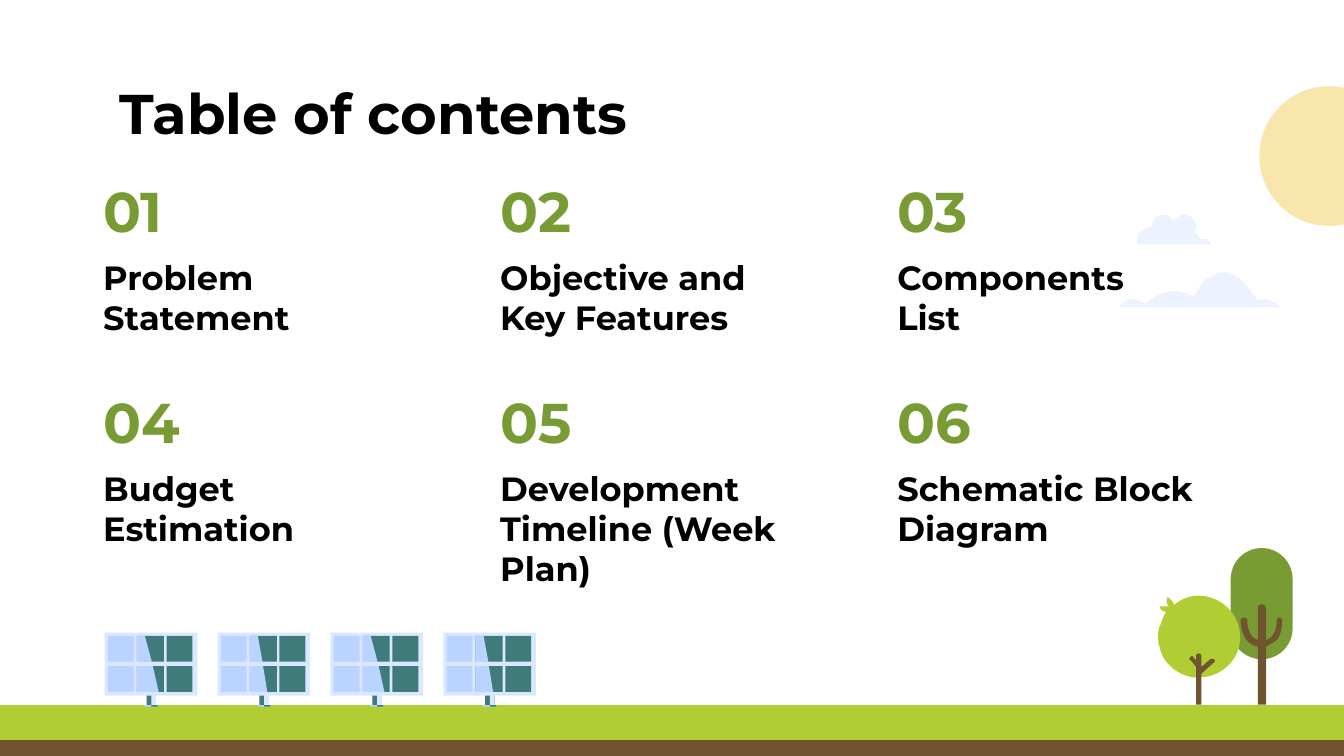
import pptx
import pptx.util
import pptx.dml.color
import pptx.enum.shapes
import pptx.enum.text
import pptx.oxml.ns
from lxml import etree

Cm = pptx.util.Cm
SHAPE = pptx.enum.shapes.MSO_SHAPE
ANCHOR = pptx.enum.text.MSO_ANCHOR
FONT = "Montserrat"
COLORS = {
    "text": "000000", "leaf": "799B34", "grass": "B0CE34", "bark": "70532F",
    "sun": "F9E6AC", "frame": "D9E8FF", "glare": "B9D5FF", "cell": "3E7B7A",
}
ITEMS = ["Problem Statement", "Objective and Key Features", "Components\nList",
         "Budget Estimation", "Development Timeline (Week Plan)",
         "Schematic Block Diagram"]

TALL_TRUNK = [
    (16, 0), (17, 0, 19, 1, 19, 3), (19, 27), (23, 26, 27, 21, 27, 12),
    (27, 11, 28, 10, 29, 10), (30, 10, 31, 11, 31, 12),
    (31, 18, 30, 23, 27, 27), (24, 29, 21, 31, 19, 32), (19, 76), (13, 76),
    (13, 32), (6, 31, 0, 24, 0, 12), (0, 11, 1, 10, 2, 10),
    (4, 10, 5, 11, 5, 12), (5, 21, 9, 26, 13, 27), (13, 3),
    (13, 1, 14, 0, 16, 0)]
ROUND_CROWN = [
    (30, 0), (47, 0, 61, 14, 61, 31), (61, 48, 47, 61, 30, 61), (26, 61),
    (14, 59, 3, 50, 1, 38), (0, 36, 0, 33, 0, 31), (0, 27), (1, 23), (2, 21),
    (3, 18, 4, 15, 6, 12), (2, 12, 1, 8, 1, 8), (8, 8), (5, 5, 7, 1, 7, 1),
    (10, 3, 11, 5, 12, 7), (14, 5, 17, 3, 20, 2), (22, 1, 26, 0, 30, 0)]
SMALL_TRUNK = [
    (7, 0), (8, 0, 9, 1, 9, 2), (9, 10), (16, 4), (17, 4, 18, 4, 19, 5),
    (19, 6), (19, 6, 19, 7, 18, 7), (9, 15), (9, 38), (5, 38), (5, 10), (1, 5),
    (0, 5, 0, 5, 0, 4), (0, 4, 0, 3, 1, 3), (1, 2, 1, 2, 2, 2),
    (2, 2, 3, 2, 3, 3), (5, 5), (5, 2), (5, 1, 6, 0, 7, 0)]
WIDE_CLOUD = [
    (78, 0), (69, 0, 61, 7, 55, 18), (50, 15, 46, 14, 41, 14),
    (32, 14, 25, 18, 19, 24), (17, 21, 13, 20, 10, 20), (6, 20, 2, 22, 0, 26),
    (120, 26), (117, 22, 113, 20, 109, 20), (106, 20, 105, 20, 103, 21),
    (96, 8, 87, 0, 78, 0)]
PUFFY_CLOUD = [
    (20, 0), (15, 0, 11, 4, 11, 9), (5, 9, 0, 13, 0, 19), (0, 22), (55, 22),
    (54, 19, 52, 18, 50, 18), (47, 18), (46, 16, 45, 14, 42, 13),
    (43, 12, 44, 10, 44, 9), (44, 4, 40, 0, 35, 0), (32, 0, 29, 2, 27, 5),
    (26, 2, 23, 0, 20, 0)]


def paint(sp, color, alpha=None):
    sp.shadow.inherit = False
    sp.fill.solid()
    sp.fill.fore_color.rgb = pptx.dml.color.RGBColor.from_string(COLORS[color])
    sp.line.fill.background()
    if alpha:
        qn = pptx.oxml.ns.qn
        clr = sp.fill._xPr.find(qn("a:solidFill")).find(qn("a:srgbClr"))
        etree.SubElement(clr, qn("a:alpha")).set("val", str(alpha * 1000))
    return sp


def add_preset(shapes, kind, box, color):
    return paint(shapes.add_shape(kind, *map(Cm, box)), color)


def trace(outline, steps=10):
    points = [outline[0]]
    for seg in outline[1:]:
        if len(seg) == 2:
            points.append(seg)
            continue
        ends = list(zip((points[-1] + seg)[::2], (points[-1] + seg)[1::2]))
        for i in range(1, steps + 1):
            t = i / steps
            weights = ((1 - t) ** 3, 3 * t * (1 - t) ** 2,
                       3 * t * t * (1 - t), t ** 3)
            points.append(tuple(sum(w * e[axis] for w, e in zip(weights, ends))
                                for axis in (0, 1)))
    return points


def add_outline(shapes, box, outline, color, alpha=None):
    x, y, w, h = box
    points = trace(outline)
    grid_w = max(p[0] for p in points)
    grid_h = max(p[1] for p in points)
    spots = [(Cm(x + px * w / grid_w), Cm(y + py * h / grid_h))
             for px, py in points]
    builder = shapes.build_freeform(*spots[0])
    builder.add_line_segments(spots[1:], close=True)
    return paint(builder.convert_to_shape(), color, alpha)


def add_text(s, box, text, size, color, anchor=ANCHOR.TOP):
    tf = s.shapes.add_textbox(*map(Cm, box)).text_frame
    tf.word_wrap = True
    tf.vertical_anchor = anchor
    tf.margin_left = tf.margin_right = Cm(0.25)
    tf.margin_top = tf.margin_bottom = Cm(0.25)
    p = tf.paragraphs[0]
    p.text = text
    p.font.name = FONT
    p.font.size = pptx.util.Pt(size)
    p.font.bold = True
    p.font.color.rgb = pptx.dml.color.RGBColor.from_string(COLORS[color])


def add_ground(s, box):
    x, y, w, h = box
    shapes = s.shapes.add_group_shape().shapes
    add_preset(shapes, SHAPE.RECTANGLE, box, "grass")
    add_preset(shapes, SHAPE.RECTANGLE, (x, y + 0.66, w, h - 0.66), "bark")


def add_tall_tree(s, box):
    x, y, w, h = box
    shapes = s.shapes.add_group_shape().shapes
    crown = add_preset(shapes, SHAPE.ROUNDED_RECTANGLE,
                       (x, y, w, h * 0.71), "leaf")
    crown.adjustments[0] = 0.5
    add_outline(shapes, (x + w * 0.16, y + h * 0.36, w * 0.67, h * 0.64),
                TALL_TRUNK, "bark")


def add_round_tree(s, box):
    x, y, w, h = box
    shapes = s.shapes.add_group_shape().shapes
    add_outline(shapes, (x, y, w, h * 0.75), ROUND_CROWN, "grass")
    add_outline(shapes, (x + w * 0.38, y + h * 0.53, w * 0.31, h * 0.47),
                SMALL_TRUNK, "bark")


def add_clouds(s, box):
    x, y, w, h = box
    shapes = s.shapes.add_group_shape().shapes
    add_outline(shapes, (x, y + h - 0.66, w, 0.66), WIDE_CLOUD, "frame", 49)
    add_outline(shapes, (x + 0.33, y, 1.4, 0.56), PUFFY_CLOUD, "frame", 49)


def add_panel(s, box, glares):
    x, y, w, h = box
    shapes = s.shapes.add_group_shape().shapes

    def bar(dx, dy, bw, bh, color):
        add_preset(shapes, SHAPE.RECTANGLE, (x + dx, y + dy, bw, bh), color)

    bar(0.79, 1.02, 0.18, 0.36, "cell")
    bar(0.88, 1.02, 0.09, 0.36, "frame")
    bar(0, 0, w, h - 0.21, "frame")
    bar(0.75, h - 0.03, 0.25, 0.03, "glare")
    bar(0.88, h - 0.03, 0.12, 0.03, "cell")
    for dy, (top, bottom) in zip((0.06, 0.63), glares):
        for dx, cw, color in ((0.06, 0.49, "glare"), (0.61, 0.51, "cell"),
                              (1.17, 0.49, "cell")):
            bar(dx, dy, cw, 0.49, color)
        add_outline(shapes, (x + 0.61, y + dy, bottom, 0.49),
                    [(0, 0), (0, 1), (bottom, 1), (top, 0)], "glare")


def add_panels(s, box):
    x, y, w, h = box
    width = 1.75
    pitch = (w - width) / 3
    wide = ((0.15, 0.28), (0.3, 0.41))
    narrow = ((0.15, 0.24), (0.25, 0.33))
    for i in range(4):
        add_panel(s, (x + i * pitch, y, width, h), narrow if i % 2 else wide)


def add_contents(s, box):
    x, y, w, h = box
    col_w = 6.4
    pitch_x, pitch_y = (w - col_w) / 2, 3.99
    for i, item in enumerate(ITEMS):
        row, col = divmod(i, 3)
        left, top = x + col * pitch_x, y + row * pitch_y
        add_text(s, (left, top, 2.03, 1.6), f"{i + 1:02}", 30, "leaf",
                 ANCHOR.BOTTOM)
        add_text(s, (left, top + 1.35, col_w, h - pitch_y - 1.35), item, 18,
                 "text")


def main():
    prs = pptx.Presentation()
    prs.slide_width, prs.slide_height = Cm(25.4), Cm(14.29)
    s = prs.slides.add_slide(prs.slide_layouts[6])
    add_ground(s, (-0.1, 13.33, 25.65, 1.07))
    add_tall_tree(s, (23.26, 10.36, 1.17, 2.96))
    add_preset(s.shapes, SHAPE.OVAL, (23.8, 1.63, 2.64, 2.64), "sun")
    add_text(s, (2.01, 1.24, 21.41, 1.6), "Table of contents", 30, "text")
    add_contents(s, (1.7, 3.25, 21.41, 7.38))
    add_round_tree(s, (21.89, 11.26, 1.55, 2.06))
    add_clouds(s, (21.16, 4.06, 3.03, 1.75))
    add_panels(s, (1.98, 11.96, 8.15, 1.4))
    prs.save("out.pptx")


if __name__ == "__main__":
    main()
